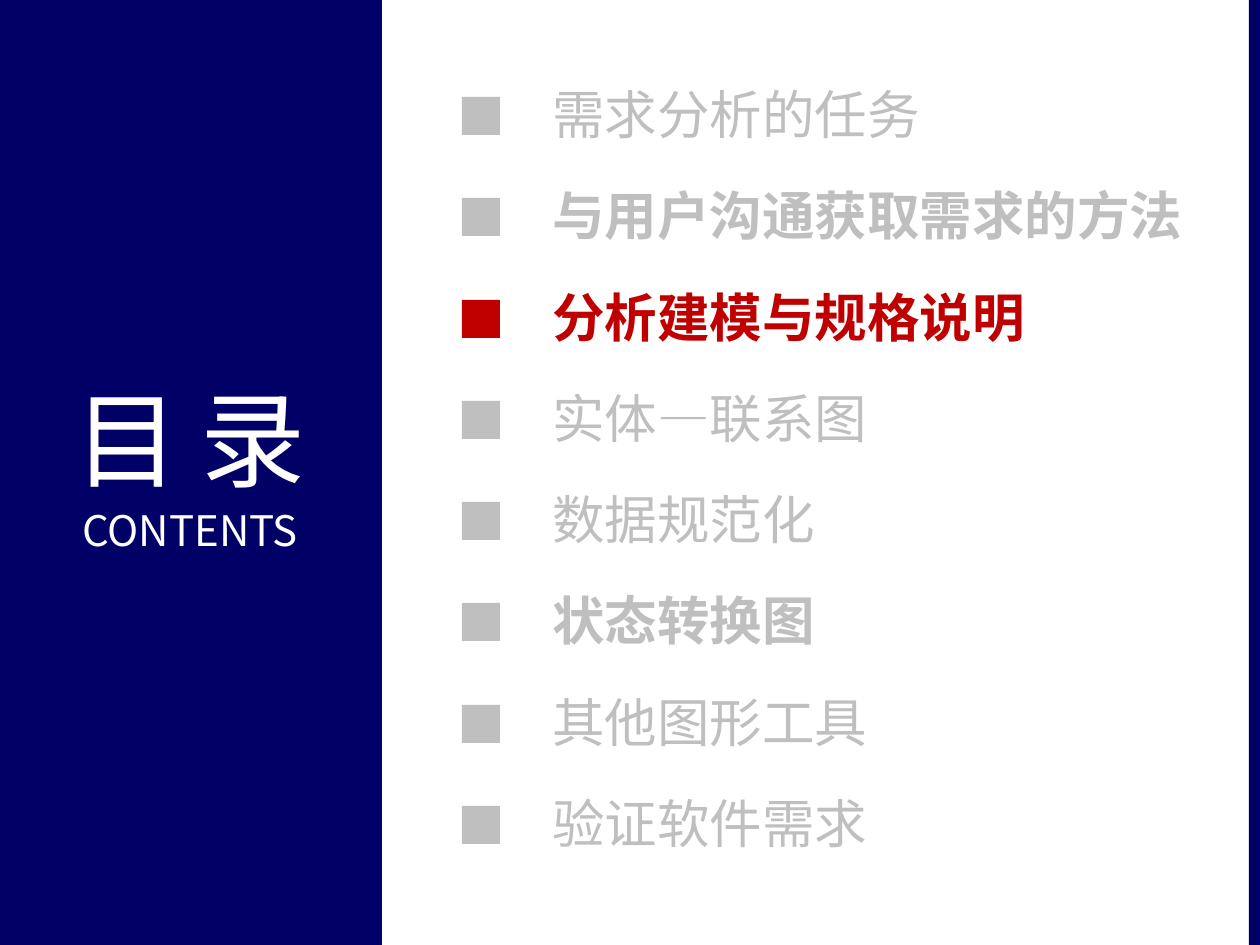
from pptx import Presentation
from pptx import util as u
from pptx.dml.color import RGBColor
from pptx.enum import shapes, text
from pptx.oxml.ns import qn

SCALE = 914400 / 126
FONT = "Noto Sans CJK SC"
NAVY = RGBColor(0x00, 0x00, 0x66)
WHITE = RGBColor(0xFF, 0xFF, 0xFF)
GREY = RGBColor(0xBF, 0xBF, 0xBF)
RED = RGBColor(0xC0, 0x00, 0x00)

FIRST_TOP, LAST_TOP = 97, 806
TOPICS = [
    ("需求分析的任务", GREY, False),
    ("与用户沟通获取需求的方法", GREY, True),
    ("分析建模与规格说明", RED, True),
    ("实体—联系图", GREY, False),
    ("数据规范化", GREY, False),
    ("状态转换图", GREY, True),
    ("其他图形工具", GREY, False),
    ("验证软件需求", GREY, False),
]


def px(length):
    """Turn pixels into EMU."""
    return u.Emu(round(length * SCALE))


def apply_format(target, values):
    """Set each named attribute on the target."""
    for name, value in values.items():
        setattr(target, name, value)


def add_block(slide, box, color):
    """Add a plain filled rectangle."""
    shape = slide.shapes.add_shape(shapes.MSO_SHAPE.RECTANGLE, *map(px, box))
    shape.shadow.inherit = False
    shape.fill.solid()
    shape.fill.fore_color.rgb = color
    shape.line.fill.background()


def add_text_box(slide, box):
    """Add a wrapping text box and return its frame."""
    frame = slide.shapes.add_textbox(*map(px, box)).text_frame
    apply_format(frame, {
        "word_wrap": True,
        "auto_size": text.MSO_AUTO_SIZE.SHAPE_TO_FIT_TEXT,
        "vertical_anchor": text.MSO_ANCHOR.MIDDLE,
    })
    return frame


def add_run(paragraph, words, color, size, bold=False, spacing=0):
    """Add a run with Latin and East Asian fonts and letter spacing in points."""
    run = paragraph.add_run()
    run.text = words
    apply_format(run.font, {"name": FONT, "size": u.Pt(size), "bold": bold})
    run.font.color.rgb = color
    properties = run._r.get_or_add_rPr()
    properties.set("spc", str(spacing * 100))
    east_asian = properties.makeelement(qn("a:ea"), {"typeface": FONT})
    properties.find(qn("a:latin")).addnext(east_asian)


def add_heading(slide):
    """Add the two-line heading on the side panel."""
    frame = add_text_box(slide, (-2, 356, 384, 217))
    title, subtitle = frame.paragraphs[0], frame.add_paragraph()
    add_run(title, "目录", WHITE, 60, spacing=12)
    add_run(subtitle, "CONTENTS", WHITE, 24)
    subtitle.space_before = u.Pt(2)
    for paragraph in (title, subtitle):
        paragraph.alignment = text.PP_ALIGN.CENTER


def add_topic(slide, top, words, color, bold):
    """Add one square marker and its topic."""
    add_block(slide, (462, top, 38, 38), color)
    frame = add_text_box(slide, (540, top - 22, 711, 77))
    add_run(frame.paragraphs[0], words, color, 30, bold)


def main():
    """Build and save the contents slide."""
    presentation = Presentation()
    apply_format(presentation, {"slide_width": px(1260), "slide_height": px(945)})
    slide = presentation.slides.add_slide(presentation.slide_layouts[6])
    add_block(slide, (-2, 0, 384, 945), NAVY)
    add_heading(slide)
    add_block(slide, (1249, 0, 11, 945), NAVY)
    pitch = (LAST_TOP - FIRST_TOP) / (len(TOPICS) - 1)
    for index, topic in enumerate(TOPICS):
        add_topic(slide, round(FIRST_TOP + index * pitch), *topic)
    presentation.save("out.pptx")


if __name__ == "__main__":
    main()
